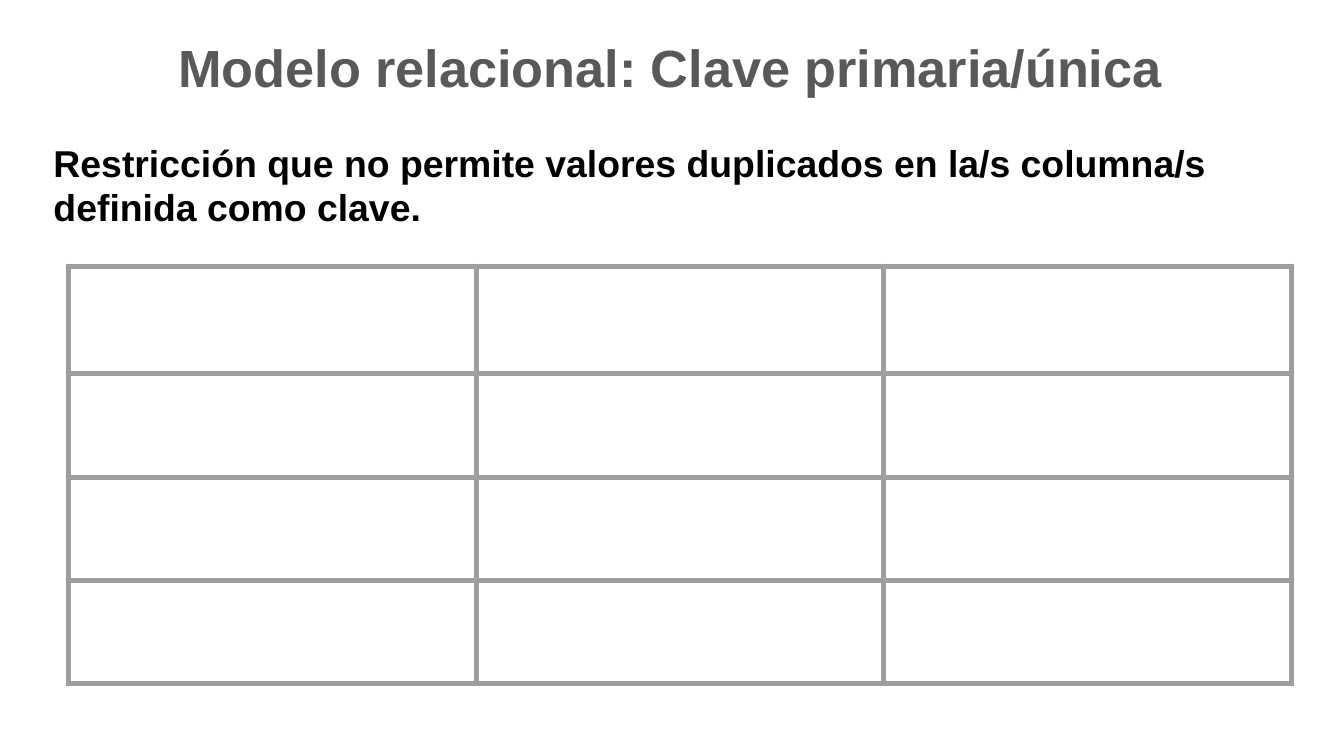
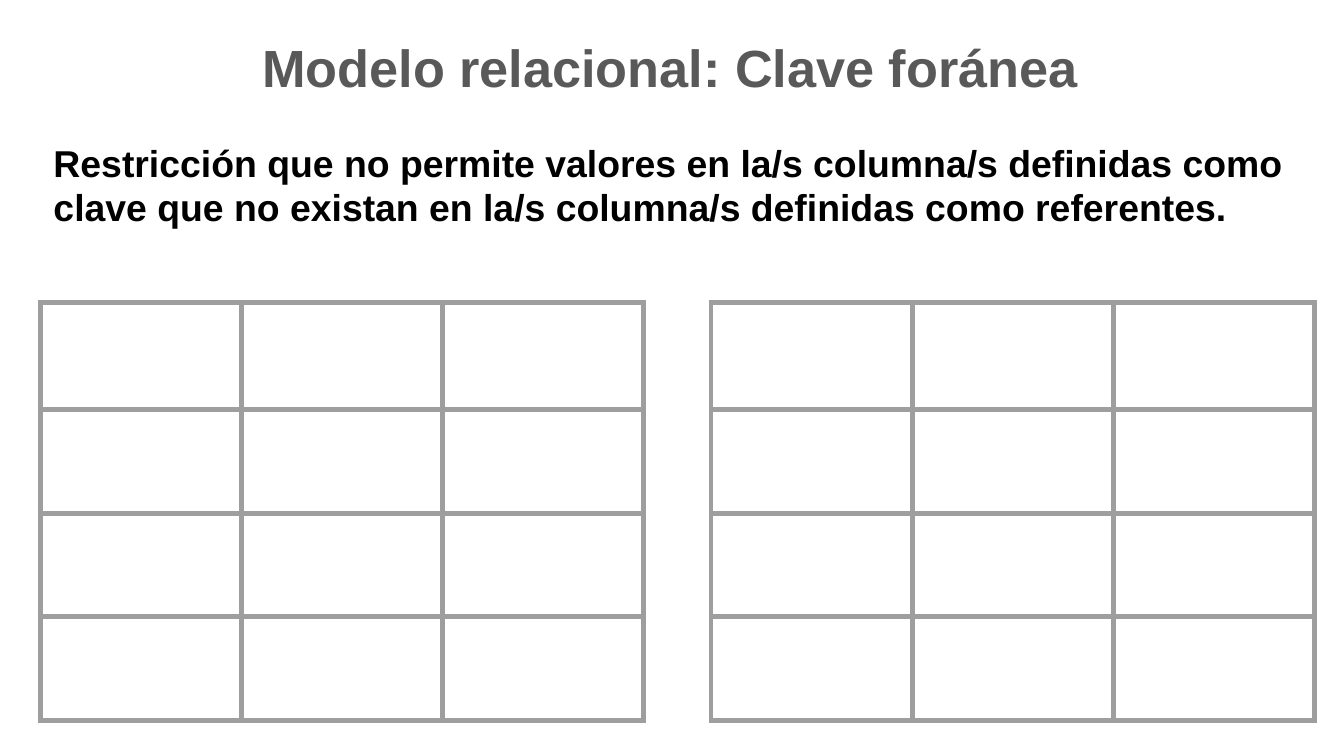
from lxml import etree
from pptx import Presentation
from pptx.dml.color import RGBColor
from pptx.enum.text import PP_ALIGN
from pptx.oxml.ns import qn
from pptx.util import Inches, Pt

# Content: title, definition, and the (left, top, width) of each empty grid
SLIDES = [
    ("Modelo relacional: Clave primaria/única",
     "Restricción que no permite valores duplicados en la/s columna/s "
     "definida como clave.",
     [(0.51, 1.98, 9.1)]),
    ("Modelo relacional: Clave foránea",
     "Restricción que no permite valores en la/s columna/s definidas como "
     "clave que no existan en la/s columna/s definidas como referentes.",
     [(0.3, 2.25, 4.49), (5.29, 2.25, 4.49)]),
]

# Shared style
COLORS = {"bg": "FFFFFF", "title": "595959", "body": "000000", "grid": "9E9E9E"}
FONT = "Arial"
SLIDE_WIDTH = Inches(10)
SLIDE_HEIGHT = SLIDE_WIDTH * 9 // 16
TITLE_BOX = (0.2, 0.16, 9.57, 0.87)
BODY_BOX = (0.3, 0.94, 9.47, 0.87)
COLS = 3
ROW_HEIGHTS = [0.8, 0.77, 0.77, 0.77]
BORDER = Pt(3)


def add_text(s, text, box, size, color, align=PP_ALIGN.LEFT):
    tf = s.shapes.add_textbox(*map(Inches, box)).text_frame
    tf.word_wrap = True
    tf.margin_left = tf.margin_right = Inches(0.1)
    tf.margin_top = tf.margin_bottom = Inches(0.1)
    p = tf.paragraphs[0]
    p.alignment = align
    r = p.add_run()
    r.text = text
    r.font.name, r.font.size, r.font.bold = FONT, Pt(size), True
    r.font.color.rgb = RGBColor.from_string(COLORS[color])


def set_borders(cell):
    tcPr = cell._tc.get_or_add_tcPr()
    for i, side in enumerate(("a:lnL", "a:lnR", "a:lnT", "a:lnB")):
        ln = etree.Element(qn(side), w=str(BORDER))
        fill = etree.SubElement(ln, qn("a:solidFill"))
        etree.SubElement(fill, qn("a:srgbClr"), val=COLORS["grid"])
        tcPr.insert(i, ln)  # borders come before the fill


def add_grid(s, left, top, width):
    box = (left, top, width, sum(ROW_HEIGHTS))
    table = s.shapes.add_table(len(ROW_HEIGHTS), COLS, *map(Inches, box)).table
    table.first_row = table.horz_banding = False
    for col in table.columns:
        col.width = Inches(width / COLS)
    for row, height in zip(table.rows, ROW_HEIGHTS):
        row.height = Inches(height)
    for cell in table.iter_cells():
        cell.fill.background()
        set_borders(cell)


def main():
    prs = Presentation()
    prs.slide_width, prs.slide_height = SLIDE_WIDTH, SLIDE_HEIGHT
    for title, definition, grids in SLIDES:
        s = prs.slides.add_slide(prs.slide_layouts[6])
        s.background.fill.solid()
        s.background.fill.fore_color.rgb = RGBColor.from_string(COLORS["bg"])
        add_text(s, title, TITLE_BOX, 28, "title", align=PP_ALIGN.CENTER)
        add_text(s, definition, BODY_BOX, 20, "body")
        for grid in grids:
            add_grid(s, *grid)
    prs.save("out.pptx")


if __name__ == "__main__":
    main()
